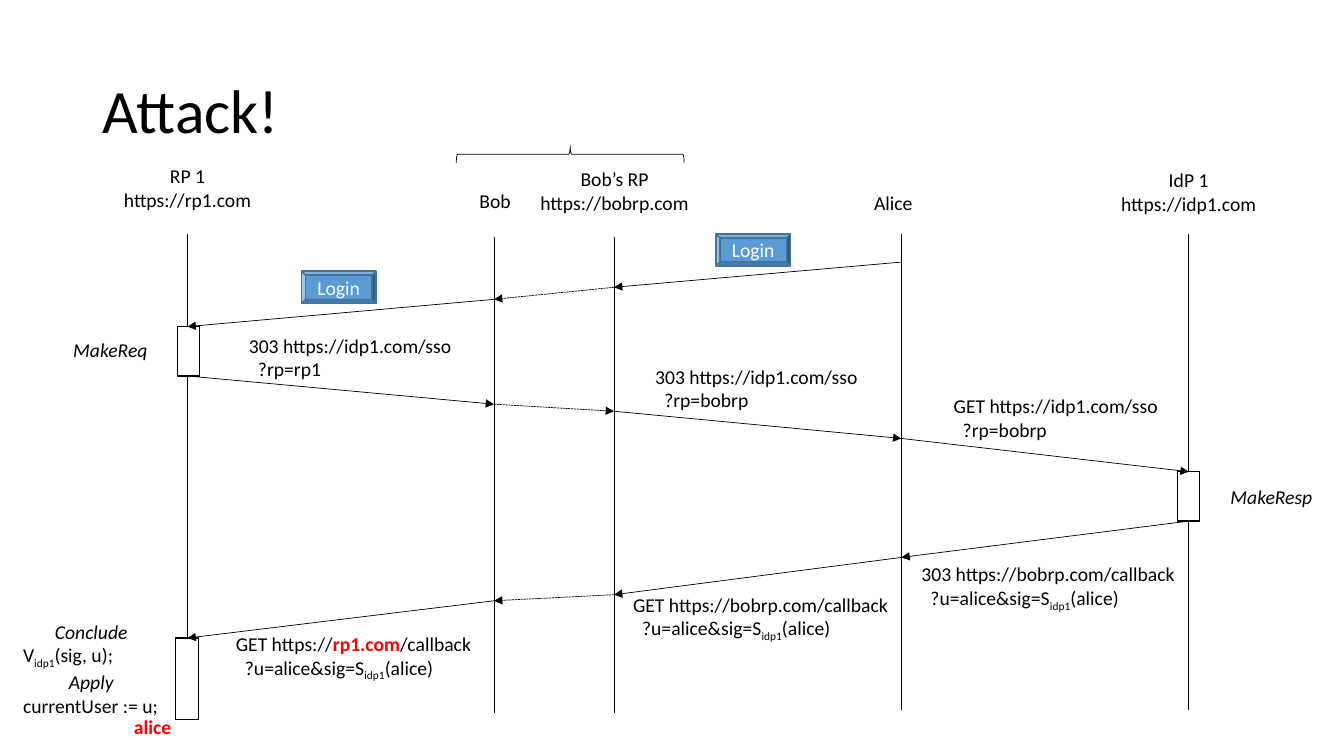
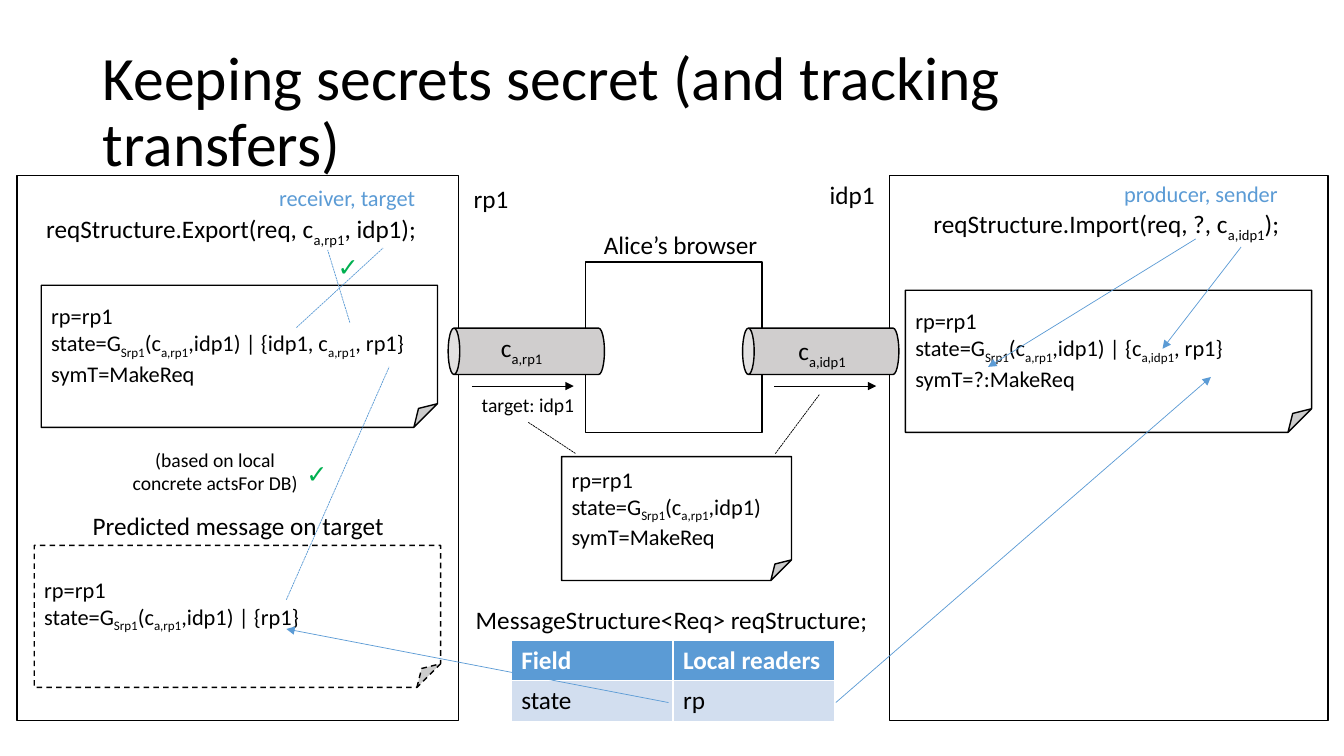
from dataclasses import dataclass
from typing import Iterator

from lxml.etree import SubElement
from pptx import Presentation
from pptx.dml.color import RGBColor
from pptx.enum.dml import MSO_LINE as Dash
from pptx.enum.shapes import MSO_CONNECTOR as Connector, MSO_SHAPE as Preset
from pptx.enum.text import MSO_ANCHOR as Anchor, MSO_AUTO_SIZE as AutoSize, PP_ALIGN as Align
from pptx.oxml.ns import qn
from pptx.util import Inches, Pt

FONT = "Calibri"
COLORS = {
    "ink": "000000", "paper": "FFFFFF", "blue": "5B9BD5", "button_edge": "43739E",
    "alert": "FF0000", "check": "00B050", "channel": "D0CECE", "row": "D2DEEF",
}
LEFT, CENTER = Align.LEFT, Align.CENTER


@dataclass(frozen=True)
class Line:
    text: str
    align: Align = LEFT
    italic: bool = False
    bold: bool = False
    indent: float = 0


@dataclass(frozen=True)
class Box:
    left: float
    top: float
    width: float
    height: float


@dataclass(frozen=True)
class Label:
    box: Box
    lines: tuple[Line, ...]
    size: float = 14
    color: str = "ink"
    wrap: bool = False


@dataclass(frozen=True)
class Figure:
    preset: Preset
    box: Box
    fill: str | None = None
    edge: str = "ink"
    weight: float = 1
    dash: Dash | None = None
    rotation: float = 0
    lines: tuple[Line, ...] = ()
    size: float = 16
    color: str = "ink"


@dataclass(frozen=True)
class Stroke:
    start: tuple[float, float]
    end: tuple[float, float]
    color: str = "ink"
    arrow: bool = True
    dashed: bool = False


def rgb(name: str) -> RGBColor:
    return RGBColor.from_string(COLORS[name])


def lengths(box: Box) -> list:
    return [Inches(value) for value in (box.left, box.top, box.width, box.height)]


def styled_pieces(text: str) -> Iterator[tuple[str, bool, bool]]:
    for index, piece in enumerate(text.split("~")):
        for part_index, part in enumerate(piece.split("*")):
            if part:
                yield part, index % 2 == 1, part_index % 2 == 1


def write(frame, lines: tuple[Line, ...], size: float, color: str) -> None:
    for index, line in enumerate(lines):
        para = frame.add_paragraph() if index else frame.paragraphs[0]
        para.alignment = line.align
        if line.indent:
            para._p.get_or_add_pPr().set("marL", str(Inches(line.indent)))
        for text, subscript, alert in styled_pieces(line.text):
            span = para.add_run()
            span.text = text
            font = span.font
            font.name, font.size = FONT, Pt(size)
            font.bold, font.italic = line.bold or alert, line.italic
            font.color.rgb = rgb("alert" if alert else color)
            if subscript:
                span._r.get_or_add_rPr().set("baseline", "-25000")


def draw_label(page, label: Label) -> None:
    frame = page.shapes.add_textbox(*lengths(label.box)).text_frame
    frame.word_wrap = label.wrap
    frame.auto_size = AutoSize.SHAPE_TO_FIT_TEXT
    write(frame, label.lines, label.size, label.color)


def draw_figure(page, figure: Figure) -> None:
    shape = page.shapes.add_shape(figure.preset, *lengths(figure.box))
    shape.shadow.inherit = False
    shape.rotation = figure.rotation
    if figure.fill:
        shape.fill.solid()
        shape.fill.fore_color.rgb = rgb(figure.fill)
    else:
        shape.fill.background()
    shape.line.color.rgb = rgb(figure.edge)
    shape.line.width = Pt(figure.weight)
    if figure.dash:
        shape.line.dash_style = figure.dash
    shape.text_frame.vertical_anchor = Anchor.MIDDLE
    write(shape.text_frame, figure.lines, figure.size, figure.color)


def draw_stroke(page, stroke: Stroke) -> None:
    points = [Inches(value) for value in (*stroke.start, *stroke.end)]
    connector = page.shapes.add_connector(Connector.STRAIGHT, *points)
    connector.line.color.rgb = rgb(stroke.color)
    connector.line.width = Pt(0.5)
    if stroke.dashed:
        connector.line.dash_style = Dash.SQUARE_DOT
    if stroke.arrow:
        SubElement(connector.line._get_or_add_ln(), qn("a:tailEnd"), type="triangle")
    SubElement(connector._element.spPr, qn("a:effectLst"))


def draw_all(page, items: list) -> None:
    painters = {Label: draw_label, Figure: draw_figure, Stroke: draw_stroke}
    for item in items:
        painters[type(item)](page, item)


def add_page(deck, title: str):
    page = deck.slides.add_slide(deck.slide_layouts[6])
    frame = page.shapes.add_textbox(*lengths(Box(0.92, 0.4, 11.5, 1.45))).text_frame
    frame.word_wrap = True
    frame.vertical_anchor = Anchor.MIDDLE
    write(frame, (Line(title),), 44, "ink")
    frame.paragraphs[0].line_spacing = 0.9
    return page


def centered(*texts: str) -> tuple[Line, ...]:
    return tuple(Line(text, CENTER) for text in texts)


def request(address: str, query: str) -> tuple[Line, ...]:
    return Line(address), Line(query, indent=0.09)


def build_attack(deck) -> None:
    page = add_page(deck, "Attack!")
    rp, bob, bob_rp, alice, idp = 1.86, 4.9, 6.09, 8.94, 11.79
    lifelines = {rp: 2.32, bob: 2.35, bob_rp: 2.35, alice: 2.32, idp: 2.32}
    draw_all(page, [
        Stroke((x, top), (x, top + 4.72), arrow=False) for x, top in lifelines.items()
    ])

    activations = [Box(1.76, 3.24, 0.22, 0.49), Box(11.68, 4.68, 0.22, 0.49),
                   Box(1.74, 6.33, 0.23, 0.81)]
    draw_all(page, [Figure(Preset.RECTANGLE, box, "paper") for box in activations])

    flows = [
        [(alice, 2.6), (bob_rp, 2.85), (bob, 2.97), (rp, 3.24)],
        [(rp, 3.73), (bob, 4.01), (bob_rp, 4.08), (alice, 4.35), (idp, 4.68)],
        [(idp, 5.17), (alice, 5.53), (bob_rp, 5.9), (bob, 5.96), (rp, 6.33)],
    ]
    for flow in flows:
        for start, end in zip(flow, flow[1:]):
            draw_stroke(page, Stroke(start, end, dashed={start[0], end[0]} == {bob, bob_rp}))

    for left, top in ((7.1, 2.32), (2.99, 2.69)):
        draw_figure(page, Figure(Preset.BEVEL, Box(left, top, 0.74, 0.32), "blue", "button_edge",
                                 lines=centered("Login"), size=14, color="paper"))
    draw_figure(page, Figure(Preset.LEFT_BRACE, Box(5.57, 0.4, 0.17, 2.26), weight=0.5, rotation=90))

    signed = "?u=alice&sig=S~idp1~(alice)"
    draw_all(page, [
        Label(Box(1.12, 1.58, 1.48, 0.57), centered("RP 1", "https://rp1.com")),
        Label(Box(4.65, 1.83, 0.52, 0.34), centered("Bob")),
        Label(Box(5.25, 1.61, 1.69, 0.57), centered("Bob’s RP", "https://bobrp.com")),
        Label(Box(8.57, 1.84, 0.59, 0.34), (Line("Alice"),)),
        Label(Box(11.01, 1.62, 1.56, 0.57), centered("IdP 1", "https://idp1.com")),
        Label(Box(2.37, 3.26, 2.23, 0.57), request("303 https://idp1.com/sso", "?rp=rp1")),
        Label(Box(6.4, 3.57, 2.23, 0.57), request("303 https://idp1.com/sso", "?rp=bobrp")),
        Label(Box(9.36, 3.86, 2.25, 0.57), request("GET https://idp1.com/sso", "?rp=bobrp")),
        Label(Box(9.04, 5.53, 2.75, 0.57),
              request("303 https://bobrp.com/callback", signed), wrap=True),
        Label(Box(6.18, 5.83, 2.75, 0.57),
              request("GET https://bobrp.com/callback", signed), wrap=True),
        Label(Box(2.24, 6.22, 2.75, 0.57),
              request("GET https://*rp1.com*/callback", signed), wrap=True),
        Label(Box(0.62, 3.3, 0.95, 0.34), (Line("MakeReq", CENTER, italic=True),)),
        Label(Box(12.1, 4.76, 1.02, 0.34), (Line("MakeResp", CENTER, italic=True),)),
        Label(Box(0.13, 6.1, 1.55, 1.04), (
            Line("Conclude", CENTER, italic=True), Line("V~idp1~(sig, u);"),
            Line("Apply", CENTER, italic=True), Line("currentUser := u;"))),
        Label(Box(1.23, 7.04, 0.58, 0.34), (Line("*alice*"),)),
    ])


def draw_readers_table(page) -> None:
    rows = [("Field", "Local readers"), ("state", "rp")]
    table = page.shapes.add_table(2, 2, *lengths(Box(5.07, 6.35, 3.21, 0.81))).table
    for row_index, row in enumerate(rows):
        header = row_index == 0
        for column_index, text in enumerate(row):
            cell = table.cell(row_index, column_index)
            cell.fill.solid()
            cell.fill.fore_color.rgb = rgb("blue" if header else "row")
            write(cell.text_frame, (Line(text, bold=header),), 18, "paper" if header else "ink")


def note(box: Box, readers: str = "", symbolic: str = "", dash: Dash | None = None) -> Figure:
    texts = ["rp=rp1", "state=G~Srp1~(c~a,rp1~,idp1)" + readers]
    if symbolic:
        texts.append(f"symT={symbolic}")
    return Figure(Preset.FOLDED_CORNER, box, "paper", dash=dash,
                  lines=tuple(Line(text) for text in texts))


def caption(left: float, top: float, width: float, text: str) -> Label:
    return Label(Box(left, top, width, 0.4), (Line(text),), 18)


def build_secrets(deck) -> None:
    page = add_page(deck, "Keeping secrets secret (and tracking transfers)")
    draw_readers_table(page)
    draw_all(page, [
        Figure(Preset.RECTANGLE, Box(0.17, 1.74, 4.38, 5.41)),
        note(Box(0.41, 2.83, 3.93, 1.41), " | {idp1, c~a,rp1~, rp1}", "MakeReq"),
        note(Box(8.98, 2.88, 4.03, 1.41), " | {c~a,idp1~, rp1}", "?:MakeReq"),
        Figure(Preset.RECTANGLE, Box(8.82, 1.74, 4.35, 5.41)),
        note(Box(5.57, 4.53, 2.28, 1.23), symbolic="MakeReq"),
        note(Box(0.34, 5.41, 4.03, 1.41), " | {rp1}", dash=Dash.DASH),
        Figure(Preset.RECTANGLE, Box(5.81, 2.6, 1.75, 1.69)),
    ])
    for left in (4.99, 7.91):
        draw_figure(page, Figure(Preset.CAN, Box(left, 2.71, 0.46, 1.55), "channel", rotation=270))
    for left in (4.68, 7.68):
        draw_stroke(page, Stroke((left, 3.83), (left + 1.01, 3.83)))

    transfers = [((8.29, 6.97), (12.01, 3.74)), ((6.63, 6.97), (2.84, 6.24)),
                 ((12.31, 2.45), (11.53, 3.46)), ((11.86, 2.37), (9.8, 3.64))]
    matches = [((2.84, 5.95), (3.86, 3.64)), ((2.94, 3.25), (3.8, 2.46)),
               ((3.47, 3.2), (3.25, 2.48))]
    note_leads = [((5.24, 4.19), (5.71, 4.5)), ((7.69, 4.5), (8.13, 3.91))]
    draw_all(page, [Stroke(start, end, "blue") for start, end in transfers])
    for color, pairs in (("blue", matches), ("ink", note_leads)):
        draw_all(page, [Stroke(*pair, color, arrow=False, dashed=True) for pair in pairs])

    for left, top in ((2.94, 4.5), (3.25, 2.44)):
        draw_label(page, Label(Box(left, top, 0.39, 0.4), (Line("✓", bold=True),), 18, "check"))
    draw_all(page, [
        caption(4.62, 5.95, 4.13, "MessageStructure<Req> reqStructure;"),
        caption(4.87, 3.25, 0.66, "c~a,rp1~"),
        caption(7.82, 3.28, 0.73, "c~a,idp1~"),
        caption(0.82, 5.01, 3.12, "Predicted message on target"),
        caption(0.36, 2.07, 3.95, "reqStructure.Export(req, c~a,rp1~, idp1);"),
        caption(9.16, 2.02, 3.72, "reqStructure.Import(req, ?, c~a,idp1~);"),
        caption(5.89, 2.23, 1.74, "Alice’s browser"),
        caption(4.6, 1.77, 0.55, "rp1"),
        caption(8.13, 1.73, 0.65, "idp1"),
        Label(Box(2.67, 1.78, 1.57, 0.37), (Line("receiver, target"),), 16, "blue"),
        Label(Box(11.05, 1.74, 1.75, 0.37), (Line("producer, sender"),), 16, "blue"),
        Label(Box(4.68, 3.85, 1.13, 0.34), (Line("target: idp1"),)),
        Label(Box(1.17, 4.39, 1.93, 0.57), centered("(based on local concrete actsFor DB)"), wrap=True),
    ])


deck = Presentation()
deck.slide_width, deck.slide_height = Inches(13.33), Inches(7.5)
build_attack(deck)
build_secrets(deck)
deck.save("out.pptx")
